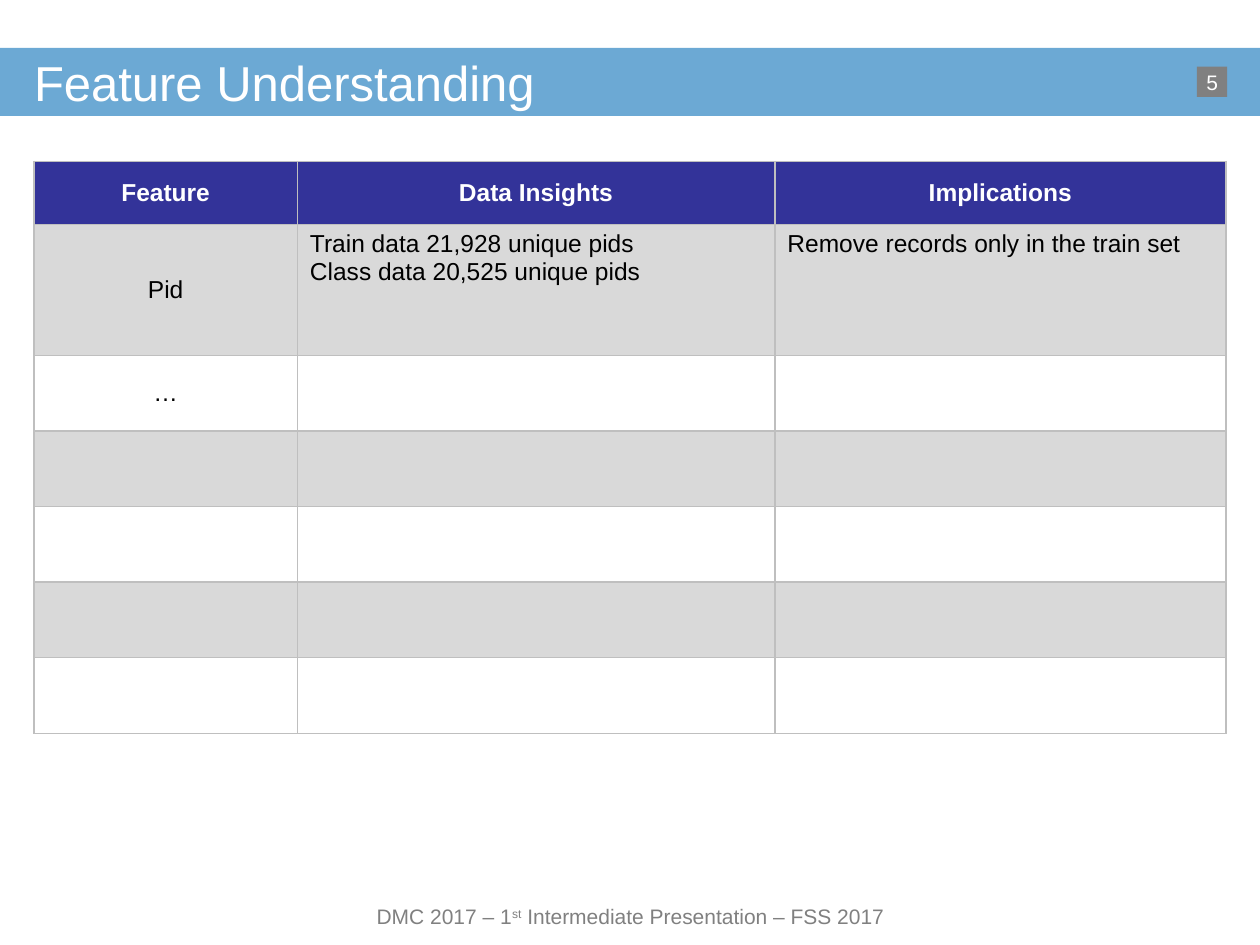
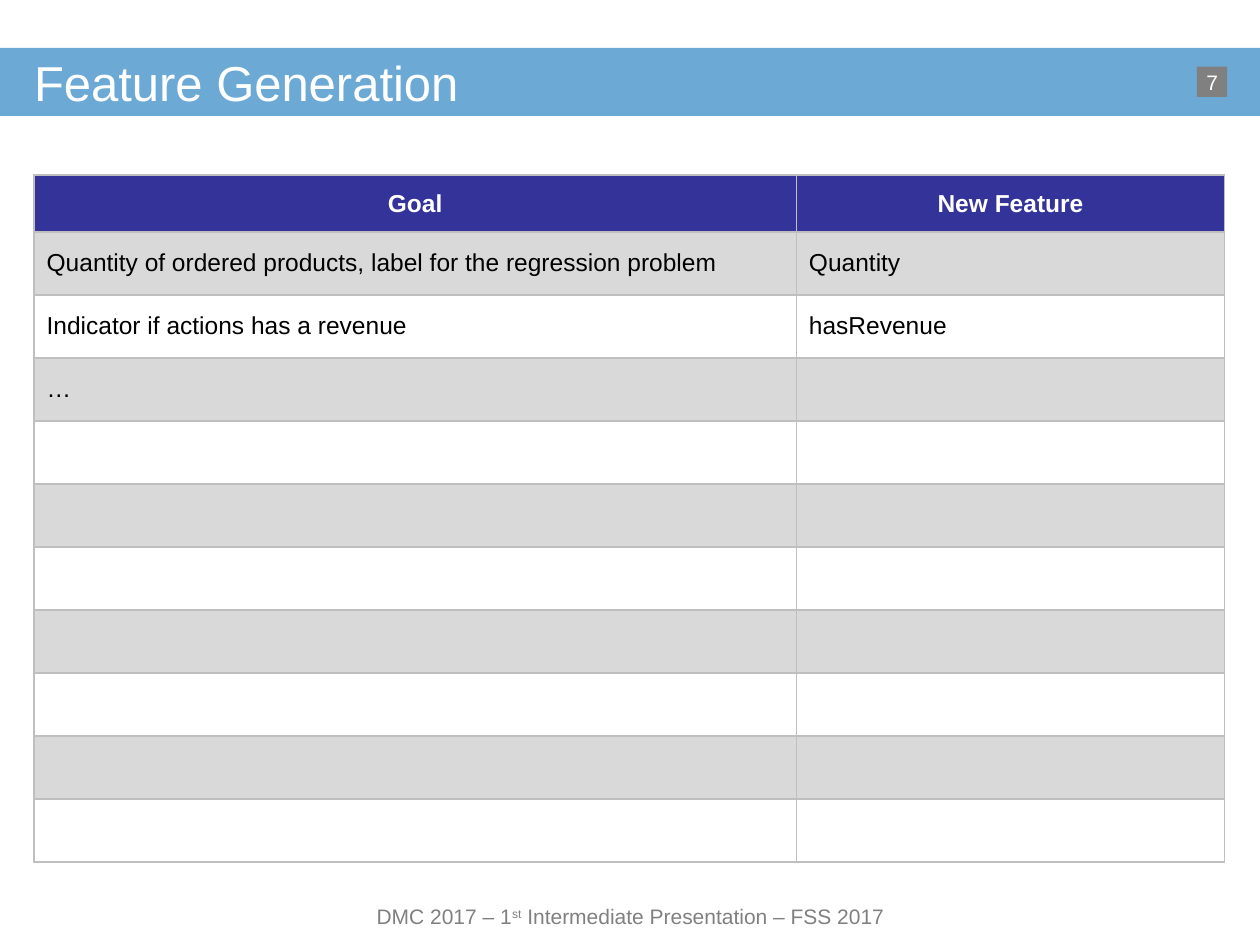
from dataclasses import dataclass
from typing import NamedTuple

from lxml.etree import SubElement
from pptx import Presentation
from pptx.dml.color import RGBColor
from pptx.enum.shapes import MSO_SHAPE as Kind
from pptx.enum.text import MSO_ANCHOR as Anchor, MSO_AUTO_SIZE as Fit, PP_ALIGN as Align
from pptx.oxml.ns import qn
from pptx.util import Pt

BLUE = RGBColor(0x0B, 0x70, 0xB8)
NAVY = RGBColor(0x33, 0x33, 0x99)
GREY = RGBColor(0x80, 0x80, 0x80)
PALE = RGBColor(0xD9, 0xD9, 0xD9)
EDGE = RGBColor(0xBF, 0xBF, 0xBF)
WHITE = RGBColor(0xFF, 0xFF, 0xFF)
BLACK = RGBColor(0x00, 0x00, 0x00)

FONT = "Arial"
LEFT = 19.44
FOOTER = (("DMC 2017 – 1", False), ("st", True),
          (" Intermediate Presentation – FSS 2017", False))


class Box(NamedTuple):
    left: float
    top: float
    width: float
    height: float

    def lengths(self) -> list:
        return [Pt(v) for v in self]


BAND = Box(0, 27.36, 720, 38.88)
TITLE = Box(LEFT, BAND.top, 680.4, BAND.height)
FOOT = Box(190.08, 513.36, 340.56, 20.16)
BADGE = Box(684, 38.16, 17.28, 17.28)


class Column(NamedTuple):
    head: str
    width: float
    align: Align = Align.LEFT
    anchor: Anchor = Anchor.MIDDLE


@dataclass
class Page:
    title: str
    number: int
    top: float
    columns: list[Column]
    heights: list[float]
    body: list[tuple[str, ...]]


PAGES = [
    Page("Feature Understanding", 5, 92.16,
         [Column("Feature", 150.48, Align.CENTER),
          Column("Data Insights", 272.88, anchor=Anchor.TOP),
          Column("Implications", 257.76, anchor=Anchor.TOP)],
         [36, 74.88] + [43.2] * 5,
         [("Pid", "Train data 21,928 unique pids\nClass data 20,525 unique pids",
           "Remove records only in the train set"),
          ("…",)]),
    Page("Feature Generation", 7, 100.08,
         [Column("Goal", 435.6), Column("New Feature", 244.8)],
         [32.4] + [36] * 10,
         [("Quantity of ordered products, label for the regression problem", "Quantity"),
          ("Indicator if actions has a revenue", "hasRevenue"),
          ("…",)]),
]


def style(frame, size: float, color: RGBColor, align: Align, bold: bool = False) -> None:
    for par in frame.paragraphs:
        par.alignment = align
        for run in par.runs:
            font = run.font
            font.name, font.size, font.bold = FONT, Pt(size), bold
            font.color.rgb = color


def tighten(frame, wrap: bool = True) -> None:
    """Drop the insets and centre the text vertically."""
    frame.margin_left = frame.margin_right = frame.margin_top = frame.margin_bottom = 0
    frame.vertical_anchor = Anchor.MIDDLE
    frame.auto_size = Fit.NONE
    frame.word_wrap = wrap


def add_block(slide, box: Box, color: RGBColor):
    block = slide.shapes.add_shape(Kind.RECTANGLE, *box.lengths())
    block.shadow.inherit = False
    block.fill.solid()
    block.fill.fore_color.rgb = color
    block.line.fill.background()
    return block


def add_title(slide, text: str) -> None:
    """Fill the title and put the translucent band behind it."""
    title = slide.shapes.title
    title.left, title.top, title.width, title.height = TITLE.lengths()
    title.text_frame.text = text
    tighten(title.text_frame)
    style(title.text_frame, 28, WHITE, Align.LEFT)
    band = add_block(slide, BAND, BLUE)
    tint = next(band.element.iter(qn("a:srgbClr")))
    SubElement(tint, qn("a:alpha"), val="60000")
    title.element.addprevious(band.element)


def add_footer(slide) -> None:
    frame = slide.shapes.add_textbox(*FOOT.lengths()).text_frame
    tighten(frame)
    for text, raised in FOOTER:
        run = frame.paragraphs[0].add_run()
        run.text = text
        if raised:
            run._r.get_or_add_rPr().set("baseline", "30000")
    style(frame, 12, GREY, Align.CENTER)


def add_badge(slide, number: int) -> None:
    frame = add_block(slide, BADGE, GREY).text_frame
    frame.text = str(number)
    tighten(frame, wrap=False)
    style(frame, 12, WHITE, Align.CENTER)


def add_edges(cell) -> None:
    props = cell._tc.get_or_add_tcPr()
    for side in ("lnL", "lnR", "lnT", "lnB"):
        line = SubElement(props, qn(f"a:{side}"), w=str(Pt(1)))
        fill = SubElement(line, qn("a:solidFill"))
        SubElement(fill, qn("a:srgbClr"), val=str(EDGE))


def fill_cell(cell, text: str, row: int, column: Column) -> None:
    head = row == 0
    add_edges(cell)
    cell.fill.solid()
    cell.fill.fore_color.rgb = NAVY if head else PALE if row % 2 else WHITE
    cell.vertical_anchor = Anchor.MIDDLE if head else column.anchor
    cell.text_frame.text = text
    style(cell.text_frame, 14, WHITE if head else BLACK,
          Align.CENTER if head else column.align, bold=head)


def add_grid(slide, page: Page) -> None:
    box = Box(LEFT, page.top, sum(c.width for c in page.columns), sum(page.heights))
    grid = slide.shapes.add_table(len(page.heights), len(page.columns), *box.lengths()).table
    grid.horz_banding = False
    for col, column in enumerate(page.columns):
        grid.columns[col].width = Pt(column.width)
    texts = [tuple(c.head for c in page.columns), *page.body]
    for row, height in enumerate(page.heights):
        grid.rows[row].height = Pt(height)
        words = texts[row] if row < len(texts) else ()
        for col, column in enumerate(page.columns):
            text = words[col] if col < len(words) else ""
            fill_cell(grid.cell(row, col), text, row, column)


def main() -> None:
    deck = Presentation()
    deck.slide_width, deck.slide_height = Pt(720), Pt(540)
    for page in PAGES:
        slide = deck.slides.add_slide(deck.slide_layouts.get_by_name("Title Only"))
        add_title(slide, page.title)
        add_footer(slide)
        add_badge(slide, page.number)
        add_grid(slide, page)
    deck.save("out.pptx")


if __name__ == "__main__":
    main()
